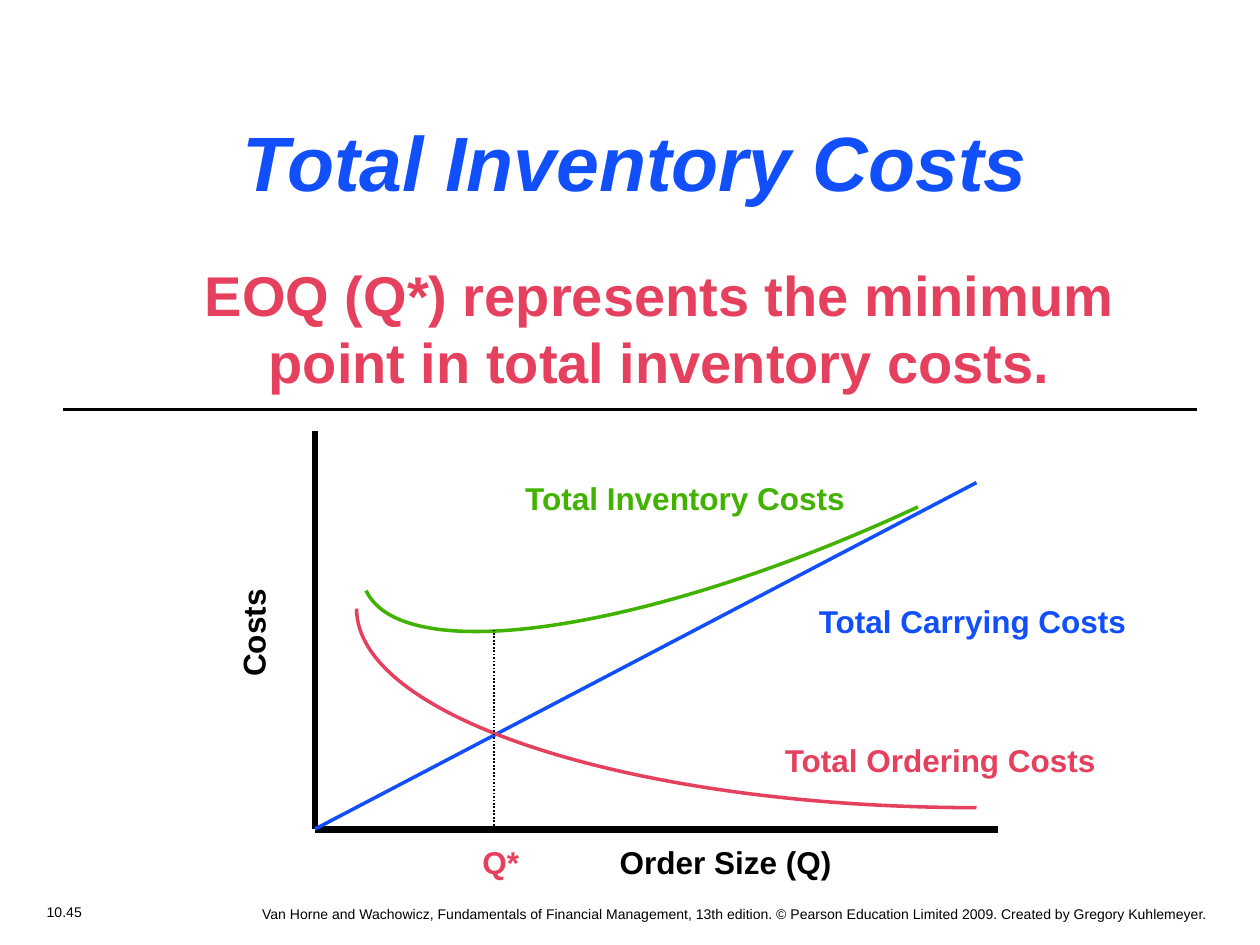
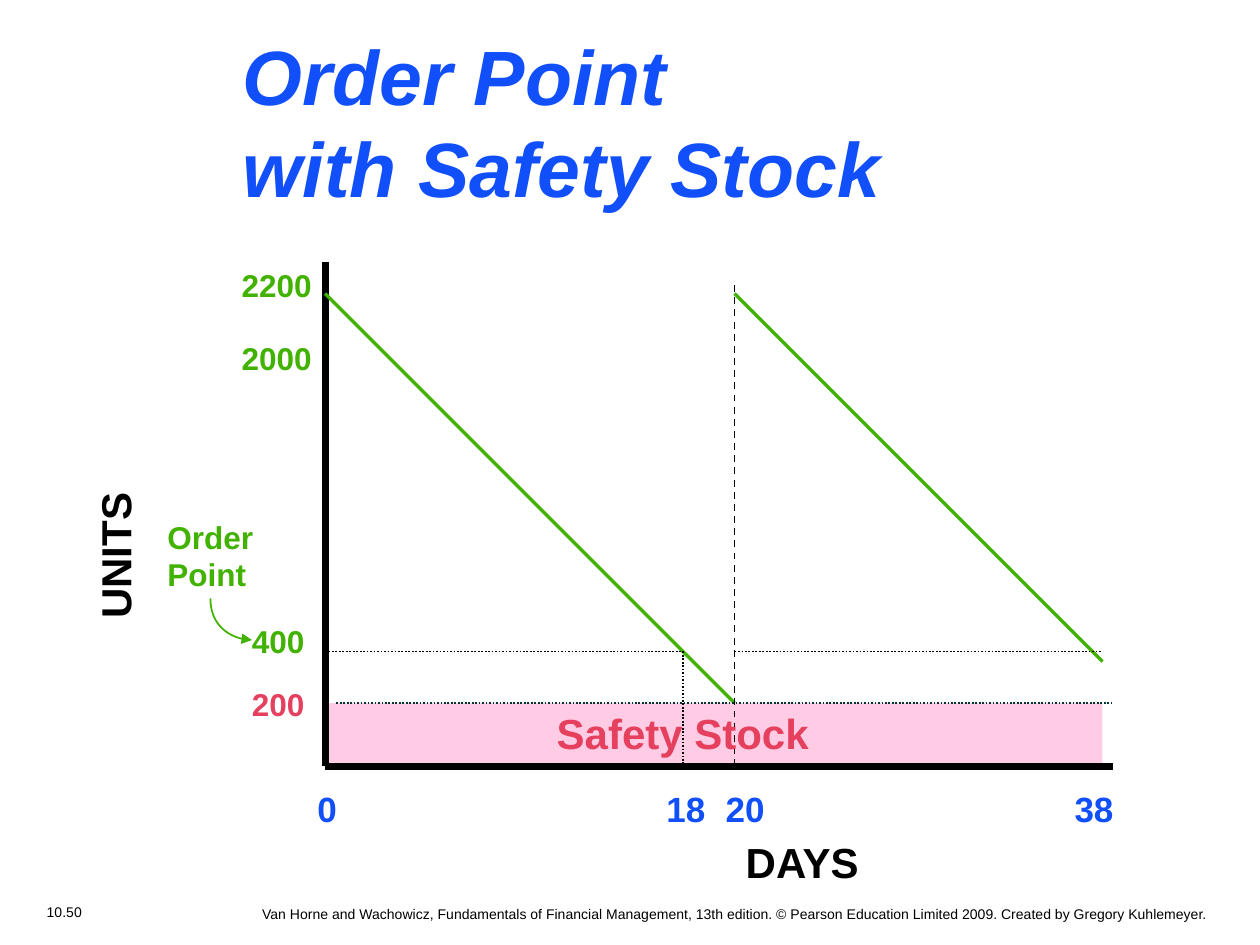
from dataclasses import dataclass
from typing import Optional

from lxml.etree import SubElement
from pptx import Presentation
from pptx.dml.color import RGBColor
from pptx.enum.dml import MSO_LINE
from pptx.enum.shapes import MSO_CONNECTOR, MSO_SHAPE
from pptx.enum.text import MSO_ANCHOR, MSO_AUTO_SIZE, PP_ALIGN
from pptx.oxml.ns import qn
from pptx.util import Inches, Pt

FONT = "Arial"
COLORS = {
    "black": "000000",
    "blue": "114FFB",
    "red": "E5405D",
    "green": "42B200",
    "teal": "003530",
    "pink": "FF99CC",
}
FOOTER = (
    "Van Horne and Wachowicz, Fundamentals of Financial Management, 13th edition. "
    "© Pearson Education Limited 2009. Created by Gregory Kuhlemeyer."
)
AXIS, CURVE, GUIDE = 4, 2, 1
BEZIER_QUARTER = 0.55
SOLID, DOT, DASH = None, MSO_LINE.ROUND_DOT, MSO_LINE.DASH


@dataclass
class Label:
    """A text box; each text is a paragraph, and a newline in it a line break."""
    texts: list[str]
    box: tuple[float, float, float, float]
    color: str = "black"
    size: int = 18
    bold: bool = True
    italic: bool = False
    align: PP_ALIGN = PP_ALIGN.LEFT
    anchor: MSO_ANCHOR = MSO_ANCHOR.TOP
    wrap: bool = False
    grow: bool = True
    rotation: int = 0
    indent: float = 0
    tabs: tuple[float, ...] = ()


@dataclass
class Line:
    start: tuple[float, float]
    end: tuple[float, float]
    color: str = "black"
    width: int = GUIDE
    dash: Optional[MSO_LINE] = SOLID


@dataclass
class Arc:
    """A quarter ellipse from the bottom right to the top left of its box."""
    box: tuple[float, float, float, float]
    color: str
    width: int = CURVE
    rotation: int = 0
    arrow: bool = False


def rgb(name: str) -> RGBColor:
    return RGBColor.from_string(COLORS[name])


def add_label(slide, label: Label) -> None:
    sp = slide.shapes.add_textbox(*map(Inches, label.box))
    sp.rotation = label.rotation
    tf = sp.text_frame
    tf.word_wrap = label.wrap
    if label.grow:
        tf.auto_size = MSO_AUTO_SIZE.SHAPE_TO_FIT_TEXT
    tf.vertical_anchor = label.anchor
    for i, text in enumerate(label.texts):
        p = tf.add_paragraph() if i else tf.paragraphs[0]
        p.alignment = label.align
        ppr = p._p.get_or_add_pPr()
        if label.indent:
            ppr.set("marL", str(Inches(label.indent)))
        if label.tabs:
            stops = SubElement(ppr, qn("a:tabLst"))
            for stop in label.tabs:
                SubElement(stops, qn("a:tab"), pos=str(Inches(stop)), algn="l")
        for j, part in enumerate(text.split("\n")):
            if j:
                p.add_line_break()
            r = p.add_run()
            r.text = part
            r.font.name = FONT
            r.font.size = Pt(label.size)
            r.font.bold = label.bold
            r.font.italic = label.italic
            r.font.color.rgb = rgb(label.color)


def add_line(slide, line: Line) -> None:
    ends = map(Inches, line.start + line.end)
    cxn = slide.shapes.add_connector(MSO_CONNECTOR.STRAIGHT, *ends)
    cxn.line.color.rgb = rgb(line.color)
    cxn.line.width = Pt(line.width)
    if line.dash is not None:
        cxn.line.dash_style = line.dash
    SubElement(cxn._element.spPr, qn("a:effectLst"))


def add_arc(slide, arc: Arc) -> None:
    left, top, width, height = arc.box
    right, bottom = left + width, top + height
    points = [
        (right - BEZIER_QUARTER * width, bottom),
        (left, top + BEZIER_QUARTER * height),
        (left, top),
    ]
    builder = slide.shapes.build_freeform(Inches(right), Inches(bottom))
    builder.add_line_segments([(Inches(x), Inches(y)) for x, y in points], close=False)
    sp = builder.convert_to_shape()
    # The three straight segments become the points of one Bezier curve.
    outline = sp._element.find(".//" + qn("a:path"))
    segments = outline.findall(qn("a:lnTo"))
    curve = SubElement(outline, qn("a:cubicBezTo"))
    for segment in segments:
        curve.append(segment[0])
        outline.remove(segment)
    sp.rotation = arc.rotation
    sp.shadow.inherit = False
    sp.fill.background()
    sp.line.color.rgb = rgb(arc.color)
    sp.line.width = Pt(arc.width)
    if arc.arrow:
        SubElement(sp.line._get_or_add_ln(), qn("a:headEnd"), type="triangle")


def add_safety_band(slide) -> None:
    box = map(Inches, (2.58, 5.58, 6.17, 0.5))
    sp = slide.shapes.add_shape(MSO_SHAPE.RECTANGLE, *box)
    sp.shadow.inherit = False
    sp.line.fill.background()
    sp.fill.solid()
    sp.fill.fore_color.rgb = rgb("pink")
    color = sp._element.spPr.find(".//" + qn("a:srgbClr"))
    SubElement(color, qn("a:alpha"), val="50000")


DRAW = {Label: add_label, Line: add_line, Arc: add_arc}


def draw(slide, items: list) -> None:
    for item in items:
        DRAW[type(item)](slide, item)


def title(text: str, box: tuple[float, float, float, float]) -> Label:
    return Label([text], box, "blue", 44, italic=True, wrap=True, anchor=MSO_ANCHOR.MIDDLE)


def new_slide(prs, number: str):
    """Add a blank slide with its page number and footer."""
    slide = prs.slides.add_slide(prs.slide_layouts[6])
    draw(slide, [
        Label([number], (0.07, 7.12, 0.88, 0.24), size=8, bold=False,
              align=PP_ALIGN.CENTER, grow=False),
        Label([FOOTER], (0.24, 7.14, 9.45, 0.21), size=8, bold=False,
              align=PP_ALIGN.RIGHT, wrap=True, grow=False),
    ])
    return slide


def build_inventory_costs(prs) -> None:
    origin = (2.5, 6.58)
    draw(new_slide(prs, "10.45"), [
        Line((0.5, 3.25), (9.5, 3.25), width=CURVE),
        Label(["EOQ (Q*) represents the minimum point in total inventory costs."],
              (0.64, 2.02, 8.69, 1.16), "red", 32, align=PP_ALIGN.CENTER,
              wrap=True, indent=0.5),
        Line((2.5, 3.42), origin, width=AXIS),
        Line((7.92, 6.58), origin, width=AXIS),
        Line(origin, (7.75, 3.83), "blue", CURVE),
        Arc((2.83, 4.83, 4.92, 1.58), "red"),
        Arc((2.97, 3.73, 4.25, 1.25), "green", rotation=335),
        Line((3.92, 6.58), (3.92, 5), dash=DOT),
        Label(["Total Inventory Costs"], (4.07, 3.75, 2.75, 0.4), "green"),
        Label(["Total Carrying Costs"], (6.4, 4.73, 2.66, 0.4), "blue"),
        Label(["Total Ordering Costs"], (6.13, 5.83, 2.68, 0.4), "red"),
        Label(["Q*"], (3.73, 6.64, 0.49, 0.4), "red"),
        Label(["Order Size (Q)"], (4.82, 6.64, 1.88, 0.4)),
        Label(["Costs"], (1.55, 4.81, 0.92, 0.4), rotation=270),
        title("Total Inventory Costs", (1.83, 0.86, 8, 0.83)),
    ])


def build_order_point(prs) -> None:
    day_0, day_18, day_20, day_38 = 2.58, 5.42, 5.83, 8.75
    full, reorder, safety, base = 2.33, 5.17, 5.58, 6.08
    axis_end = 8.83
    slide = new_slide(prs, "10.50")
    add_safety_band(slide)
    draw(slide, [
        Line((day_0, base), (axis_end, base), width=AXIS),
        Line((day_0, base), (day_0, 2.08), width=AXIS),
        Line((day_0, full), (day_20, safety), "green", CURVE),
        Label(["0\t18\t20\t38"], (2.42, 6.2, 6.66, 0.43), "blue", 20,
              wrap=True, tabs=(2.77, 3.24, 6.01)),
        Line((day_20, full), (day_38, 5.25), "green", CURVE),
        Line((day_20, base), (day_20, 2.25), dash=DASH),
        Label(["400"], (1.9, 4.89, 0.62, 0.4), "green"),
        Label(["2000"], (1.82, 2.64, 0.77, 0.4), "green"),
        Label(["Order", "Point"], (1.23, 4.06, 0.88, 0.7), "green"),
        Label(["UNITS"], (0.31, 4.16, 1.2, 0.5), size=24, rotation=270),
        Label(["DAYS"], (5.82, 6.59, 1.12, 0.5), size=24),
        Label(["2200"], (1.82, 2.06, 0.77, 0.4), "green"),
        Line((2.67, safety), (axis_end, safety), "teal", dash=DOT),
        Label(["Safety Stock"], (4.32, 5.57, 2.2, 0.5), "red", 24),
        Label(["200"], (1.9, 5.39, 0.62, 0.4), "red"),
        Arc((1.67, 4.75, 0.33, 0.33), "green", GUIDE, arrow=True),
        Line((day_0, reorder), (day_18, reorder), dash=DOT),
        Line((day_20, reorder), (day_38, reorder), dash=DOT),
        Line((day_18, reorder), (day_18, base), dash=DOT),
        title("Order Point\nwith Safety Stock", (1.83, 0.18, 6.58, 1.56)),
    ])


def main() -> None:
    prs = Presentation()
    prs.slide_width, prs.slide_height = Inches(10), Inches(7.5)
    build_inventory_costs(prs)
    build_order_point(prs)
    prs.save("out.pptx")


if __name__ == "__main__":
    main()
